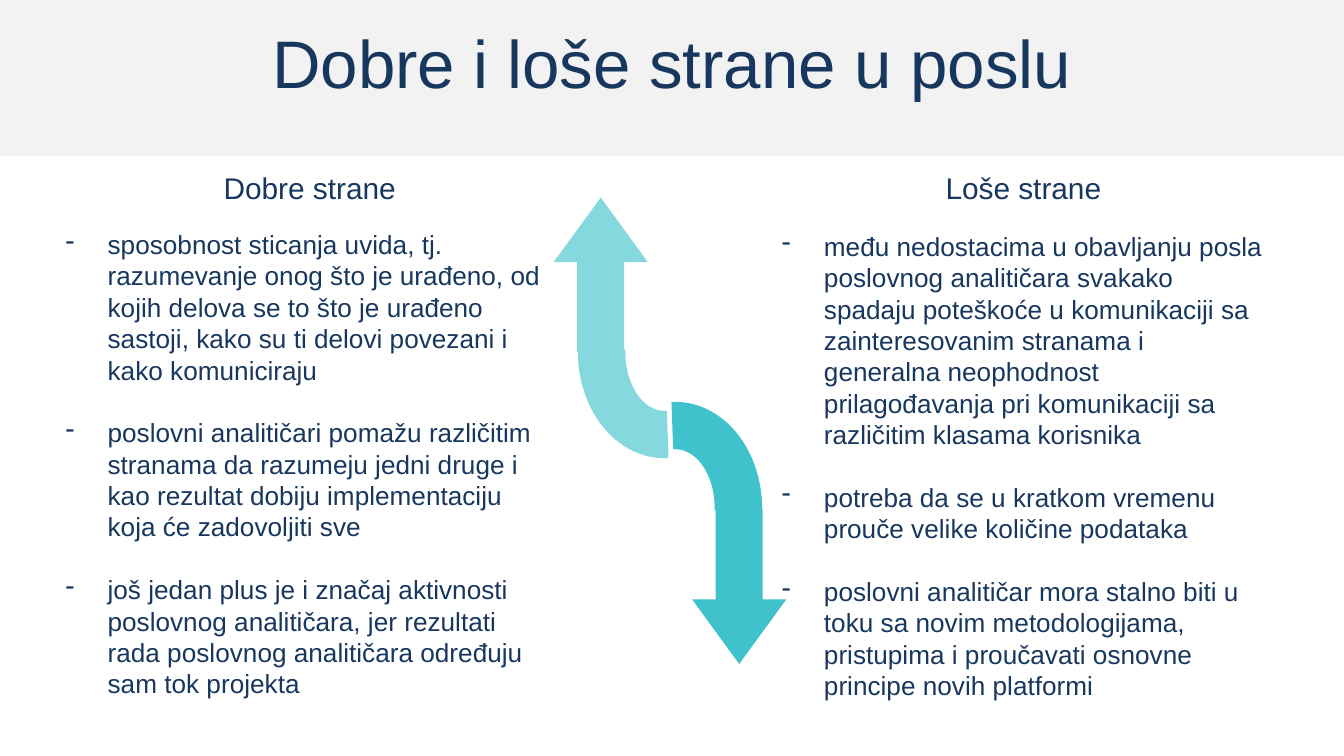
from lxml import etree
from pptx import Presentation
from pptx.dml.color import RGBColor
from pptx.enum import shapes, text
from pptx.oxml import ns
from pptx.util import Pt

# Content
TITLE = "Dobre i loše strane u poslu"
COLUMNS = [
    {"heading": "Dobre strane", "heading_left": 44.64, "left": 28.08, "top": 100.8, "points": [
        "sposobnost sticanja uvida, tj. razumevanje onog što je urađeno, od kojih delova se to "
        "što je urađeno sastoji, kako su ti delovi povezani i kako komuniciraju",
        "poslovni analitičari pomažu različitim stranama da razumeju jedni druge i kao rezultat "
        "dobiju implementaciju koja će zadovoljiti sve",
        "još jedan plus je i značaj aktivnosti poslovnog analitičara, jer rezultati rada "
        "poslovnog analitičara određuju sam tok projekta",
    ]},
    {"heading": "Loše strane", "heading_left": 426.96, "left": 411.84, "top": 101.7, "points": [
        "među nedostacima u obavljanju posla poslovnog analitičara svakako spadaju poteškoće u "
        "komunikaciji sa zainteresovanim stranama i generalna neophodnost prilagođavanja pri "
        "komunikaciji sa različitim klasama korisnika",
        "potreba da se u kratkom vremenu prouče velike količine podataka",
        "poslovni analitičar mora stalno biti u toku sa novim metodologijama, pristupima i "
        "proučavati osnovne principe novih platformi",
    ]},
]
NAVY, BAND, LIGHT_TEAL, TEAL = "17375E", "F2F2F2", "85D8DE", "3FC2CB"
LINE = 16.8  # body line pitch

# Each curved arrow: colour, (head left, top, rotation), (arc left, top, rotation)
CURVED_ARROWS = [
    (LIGHT_TEAL, (296.64, 105.84, 0), (309.6, 131.76, 180)),
    (TEAL, (370.8, 272.88, 180), (315.36, 215.28, 0)),
]
HEAD_SIZE, HEAD_SHAPE = (50.4, 82.8), (0.5, 0.686)
ARC_SIZE, ARC_SHAPE = (92.88, 113.76), (160.743, 2.096, 0.273)


def colour(value):
    return RGBColor.from_string(value)


def add_solid(page, kind, frame, fill, rotation=0, adjustments=()):
    shape = page.shapes.add_shape(kind, *map(Pt, frame))
    shape.shadow.inherit = False
    shape.fill.solid()
    shape.fill.fore_color.rgb = colour(fill)
    shape.line.fill.background()
    shape.rotation = rotation
    for index, value in enumerate(adjustments):
        shape.adjustments[index] = value
    return shape


def write(box, lines, size, frame_format, para_format):
    frame = box.text_frame
    for name, value in {"word_wrap": True, "auto_size": text.MSO_AUTO_SIZE.NONE,
                        **frame_format}.items():
        setattr(frame, name, value)
    for index, line in enumerate(lines):
        para = frame.add_paragraph() if index else frame.paragraphs[0]
        for name, value in para_format.items():
            setattr(para, name, value)
        span = para.add_run()
        span.text = line
        for name, value in {"name": "Arial", "size": Pt(size)}.items():
            setattr(span.font, name, value)
        span.font.color.rgb = colour(NAVY)
    return frame.paragraphs


def add_dash(para):
    properties = para._p.get_or_add_pPr()
    properties.set("marL", str(Pt(22.5)))
    properties.set("indent", str(-Pt(22.5)))
    etree.SubElement(properties, ns.qn("a:buChar")).set("char", "-")


deck = Presentation()
deck.slide_width, deck.slide_height = Pt(720), Pt(405)
page = deck.slides.add_slide(deck.slide_layouts[5])
centred = {"alignment": text.PP_ALIGN.CENTER, "space_before": Pt(0)}
middle = {"vertical_anchor": text.MSO_ANCHOR.MIDDLE}

# Title on its band, with the band at the back
band = add_solid(page, shapes.MSO_SHAPE.RECTANGLE, (0, 0, 720, 83.52), BAND)
page.shapes._spTree.insert(2, band._element)
title = page.shapes.title
for name, value in {"left": 0, "top": 10.08, "width": 720, "height": 45.36}.items():
    setattr(title, name, Pt(value))
write(title, [TITLE], 36, middle, centred)

# Curved arrows
for fill, (*head, head_turn), (*arc, arc_turn) in CURVED_ARROWS:
    add_solid(page, shapes.MSO_SHAPE.UP_ARROW, (*head, *HEAD_SIZE), fill, head_turn, HEAD_SHAPE)
    add_solid(page, shapes.MSO_SHAPE.BLOCK_ARC, (*arc, *ARC_SIZE), fill, arc_turn, ARC_SHAPE)

# Columns, one line of space between points
for column in COLUMNS:
    body = page.shapes.add_textbox(*map(Pt, (column["left"], column["top"], 273.6, 278.64)))
    paras = write(body, column["points"], 14,
                  {"vertical_anchor": text.MSO_ANCHOR.BOTTOM, "margin_bottom": Pt(4.9)},
                  {"line_spacing": Pt(LINE), "space_before": Pt(LINE)})
    paras[0].space_before = Pt(0)
    for para in paras:
        add_dash(para)
    heading = page.shapes.add_textbox(*map(Pt, (column["heading_left"], 77.76, 242.64, 45.36)))
    write(heading, [column["heading"]], 16, middle, centred)

deck.save("out.pptx")
